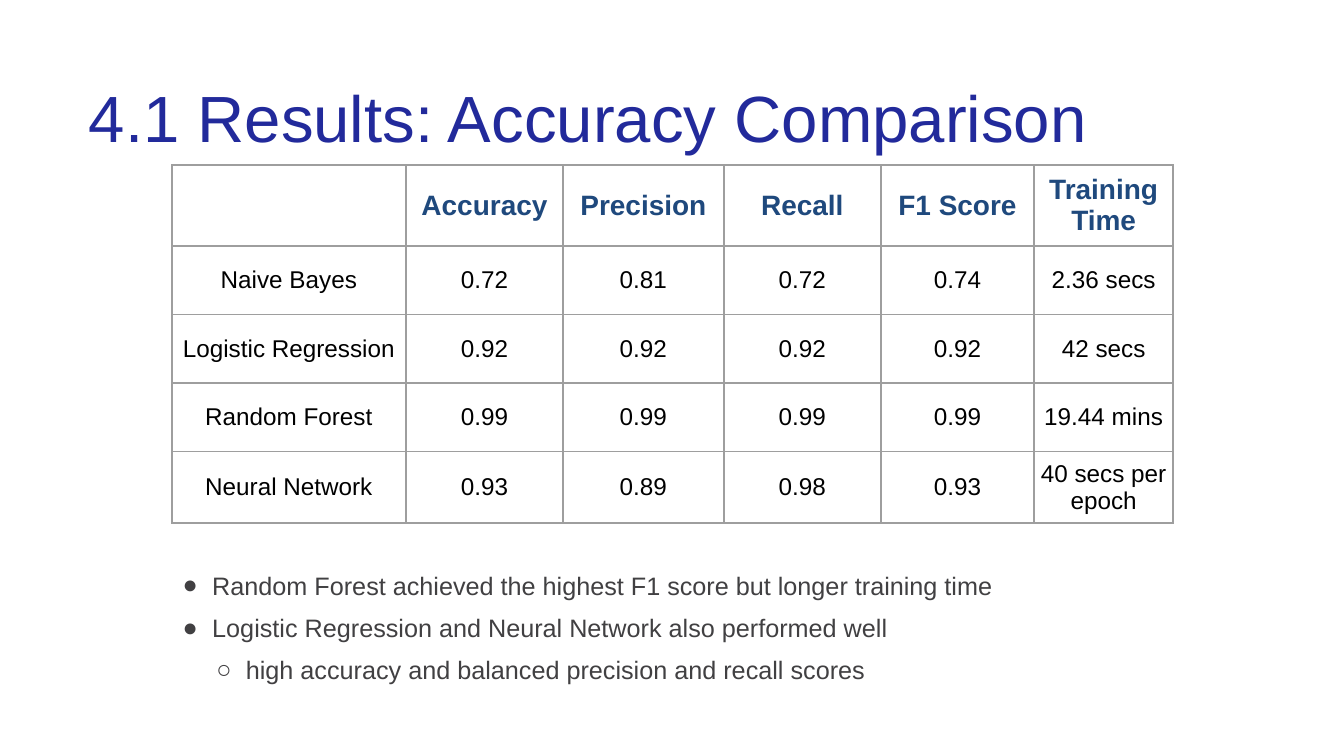
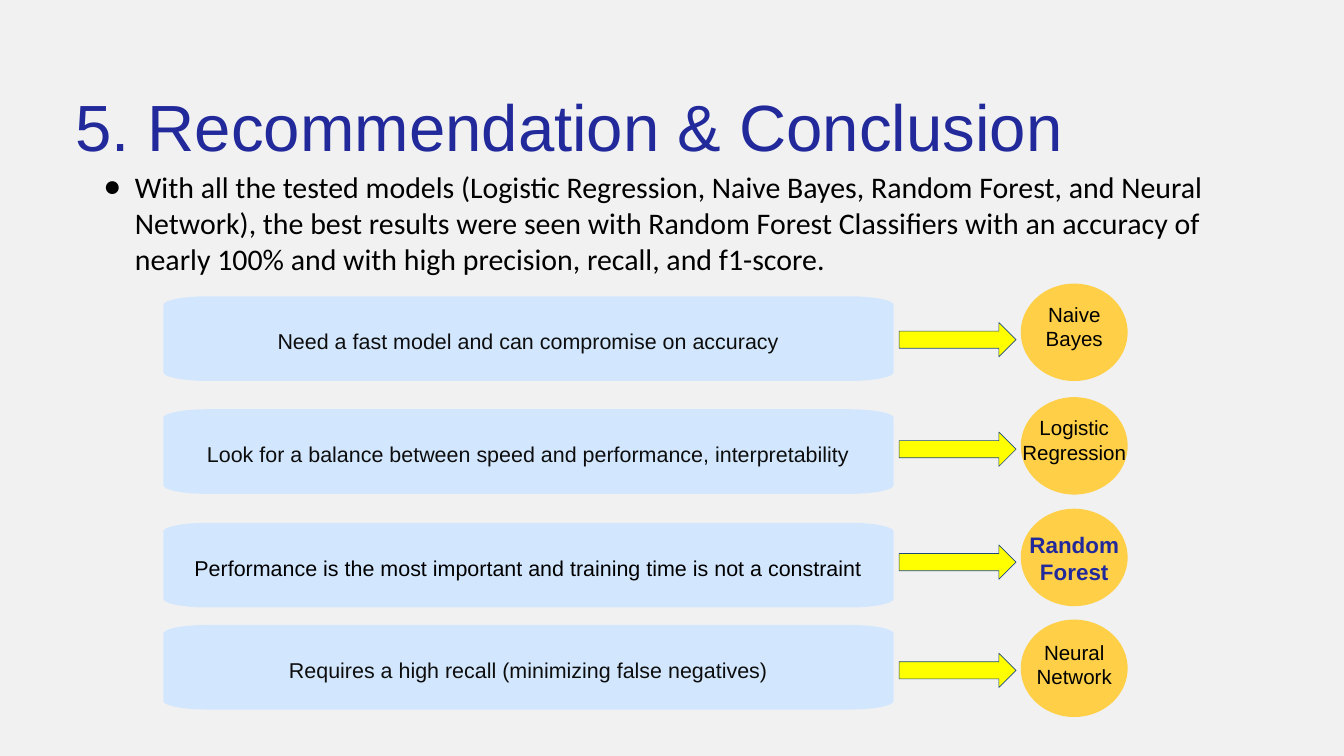
import math
from dataclasses import dataclass

import lxml.etree
import pptx
import pptx.dml.color
import pptx.enum.shapes
import pptx.enum.text
import pptx.oxml.ns
import pptx.util

Inches = pptx.util.Inches
PP_ALIGN = pptx.enum.text.PP_ALIGN
MSO_ANCHOR = pptx.enum.text.MSO_ANCHOR
MSO_SHAPE = pptx.enum.shapes.MSO_SHAPE


@dataclass(frozen=True)
class Theme:
    """Colours, fonts and type sizes shared by the slides."""

    white: str = "FFFFFF"
    grey: str = "F1F1F1"
    black: str = "000000"
    ink: str = "0D0D0D"
    slate: str = "414042"
    title: str = "222A9B"
    navy: str = "1F497D"
    border: str = "9E9E9E"
    bar: str = "D2E7FE"
    circle: str = "FECF47"
    arrow: str = "FFFF00"
    font: str = "Arial"
    body_font: str = "Calibri"
    title_size: int = 70
    body_size: int = 32
    header_size: int = 30
    note_size: int = 27
    cell_size: int = 26
    strong_size: int = 24
    need_size: int = 23
    label_size: int = 22


@dataclass(frozen=True)
class Box:
    """A rectangle in inches."""

    left: float
    top: float
    width: float
    height: float

    def inside(self, left, top, width, height):
        """Return a box placed relative to this one."""
        return Box(self.left + left, self.top + top, width, height)

    def lengths(self):
        """Return the four lengths for python-pptx."""
        return [Inches(value) for value in (self.left, self.top, self.width, self.height)]


THEME = Theme()
HEADERS = ["", "Accuracy", "Precision", "Recall", "F1 Score", "Training Time"]
RESULTS = [
    ["Naive Bayes", "0.72", "0.81", "0.72", "0.74", "2.36 secs"],
    ["Logistic Regression", "0.92", "0.92", "0.92", "0.92", "42 secs"],
    ["Random Forest", "0.99", "0.99", "0.99", "0.99", "19.44 mins"],
    ["Neural Network", "0.93", "0.89", "0.98", "0.93", "40 secs per epoch"],
]
COLUMN_WIDTHS = [3.48, 2.34, 2.39, 2.34, 2.28, 2.07]
ROW_HEIGHTS = [1.2, 1.02, 1.02, 1.02, 1.06]
FINDINGS = [
    (0, "Random Forest achieved the highest F1 score but longer training time"),
    (0, "Logistic Regression and Neural Network also performed well"),
    (1, "high accuracy and balanced precision and recall scores"),
]
CONCLUSION = (
    "With all the tested models (Logistic Regression, Naive Bayes, Random Forest, and Neural "
    "Network), the best results were seen with Random Forest Classifiers with an accuracy of "
    "nearly 100% and with high precision, recall, and f1-score."
)


@dataclass(frozen=True)
class Choice:
    """A need, the model that meets it, and the tops of its parts."""

    need: str
    model: str
    bar_top: float
    arrow_top: float
    circle_top: float
    label_offset: float = 0.17
    need_color: str = THEME.ink
    best: bool = False


CHOICES = [
    Choice("Need a fast model and can compromise on accuracy", "Naive Bayes", 0.19, 0.58, 0),
    Choice("Look for a balance between speed and performance, interpretability",
           "Logistic Regression", 1.87, 2.21, 1.69),
    Choice("Performance is the most important and training time is not a constraint",
           "Random Forest", 3.56, 3.89, 3.35, 0.23, THEME.black, True),
    Choice("Requires a high recall (minimizing false negatives)",
           "Neural Network", 5.08, 5.5, 5, 0.2),
]


def rgb(color):
    """Return a colour object for a hex string."""
    return pptx.dml.color.RGBColor.from_string(color)


def add_child(parent, tag, **attributes):
    """Append a DrawingML element and return it."""
    return lxml.etree.SubElement(parent, pptx.oxml.ns.qn(tag), **attributes)


def style_paragraph(paragraph, size, color, font=THEME.font, bold=False, align=None, spacing=None):
    """Set the font, alignment and line spacing of a paragraph."""
    paragraph.alignment = align
    paragraph.line_spacing = spacing
    paragraph.font.size = pptx.util.Pt(size)
    paragraph.font.name = font
    paragraph.font.bold = bold
    paragraph.font.color.rgb = rgb(color)


def set_bullet(paragraph, character, color, indent, hanging):
    """Give a paragraph a bullet with a hanging indent."""
    properties = paragraph._p.get_or_add_pPr()
    properties.set("marL", str(Inches(indent)))
    properties.set("indent", str(-Inches(hanging)))
    add_child(add_child(properties, "a:buClr"), "a:srgbClr", val=color)
    add_child(properties, "a:buFont", typeface=THEME.font)
    add_child(properties, "a:buChar", char=character)


def set_insets(frame, left, top, right, bottom):
    """Set the margins of a text frame or a table cell."""
    frame.margin_left, frame.margin_top = Inches(left), Inches(top)
    frame.margin_right, frame.margin_bottom = Inches(right), Inches(bottom)


def add_text_frame(slide, box, inset=0.1):
    """Add a wrapping text box and return its frame."""
    frame = slide.shapes.add_textbox(*box.lengths()).text_frame
    frame.word_wrap = True
    set_insets(frame, inset, inset, inset, inset)
    return frame


def paint(shape, fill, line=None):
    """Set the fill and outline of a shape and drop its shadow."""
    shape.shadow.inherit = False
    shape.fill.solid()
    shape.fill.fore_color.rgb = rgb(fill)
    if line:
        shape.line.color.rgb = rgb(line)
        shape.line.width = pptx.util.Pt(0.75)
    else:
        shape.line.fill.background()


def add_titled_slide(presentation, title, box, background):
    """Add a blank slide with a background and a title."""
    slide = presentation.slides.add_slide(presentation.slide_layouts[6])
    slide.background.fill.solid()
    slide.background.fill.fore_color.rgb = rgb(background)
    paragraph = add_text_frame(slide, box, 0).paragraphs[0]
    paragraph.text = title
    style_paragraph(paragraph, THEME.title_size, THEME.title, spacing=1.2)
    return slide


def style_cell(cell, text, header):
    """Fill one table cell with text and draw its borders."""
    properties = cell._tc.get_or_add_tcPr()
    for side in ("a:lnL", "a:lnR", "a:lnT", "a:lnB"):
        line = add_child(properties, side, w=str(pptx.util.Pt(2.25)))
        add_child(add_child(line, "a:solidFill"), "a:srgbClr", val=THEME.border)
    cell.fill.background()
    cell.vertical_anchor = MSO_ANCHOR.MIDDLE
    set_insets(cell, 0.1, 0.1, 0.1, 0.1)
    paragraph = cell.text_frame.paragraphs[0]
    paragraph.text = text
    size, color = (THEME.header_size, THEME.navy) if header else (THEME.cell_size, THEME.black)
    style_paragraph(paragraph, size, color, bold=header, align=PP_ALIGN.CENTER)


def add_results_table(slide, box):
    """Add the table of scores by model."""
    rows = [HEADERS] + RESULTS
    table = slide.shapes.add_table(len(rows), len(HEADERS), *box.lengths()).table
    table.first_row = table.horz_banding = False
    for column, width in zip(table.columns, COLUMN_WIDTHS):
        column.width = Inches(width)
    for row, height, texts in zip(table.rows, ROW_HEIGHTS, rows):
        row.height = Inches(height)
        for cell, text in zip(row.cells, texts):
            style_cell(cell, text, texts is HEADERS)


def add_findings(slide, box):
    """Add the bulleted findings below the table."""
    frame = add_text_frame(slide, box)
    for index, (level, text) in enumerate(FINDINGS):
        paragraph = frame.add_paragraph() if index else frame.paragraphs[0]
        paragraph.text = text
        paragraph.level = level
        paragraph.line_spacing = 1.4
        set_bullet(paragraph, "●○"[level], THEME.slate, 0.5 * (level + 1), 0.44)
        style_paragraph(paragraph, THEME.note_size, THEME.slate, spacing=1.4)


def add_conclusion(slide, box):
    """Add the bulleted conclusion."""
    paragraph = add_text_frame(slide, box).paragraphs[0]
    paragraph.text = CONCLUSION
    set_bullet(paragraph, "●", THEME.black, 0.5, 0.47)
    style_paragraph(paragraph, THEME.body_size, THEME.black, THEME.body_font)


def bar_outline(box, radius_x=0.65, radius_y=0.13, steps=8):
    """Return the points of a rectangle with elliptical corners."""
    left, right = box.left + radius_x, box.left + box.width - radius_x
    top, bottom = box.top + radius_y, box.top + box.height - radius_y
    centres = [(right, top), (right, bottom), (left, bottom), (left, top)]
    points = []
    for corner, (x, y) in enumerate(centres):
        for step in range(steps + 1):
            angle = math.pi / 2 * (corner - 1 + step / steps)
            points.append((Inches(x + radius_x * math.cos(angle)),
                           Inches(y + radius_y * math.sin(angle))))
    return points


def add_need_bar(slide, box, choice):
    """Add the soft-cornered bar that states a need."""
    points = bar_outline(box)
    builder = slide.shapes.build_freeform(*points[0])
    builder.add_line_segments(points[1:], close=True)
    bar = builder.convert_to_shape()
    paint(bar, THEME.bar)
    frame = bar.text_frame
    frame.word_wrap = True
    frame.vertical_anchor = MSO_ANCHOR.MIDDLE
    set_insets(frame, 0.28, 0.28, 0.28, 0.36)
    paragraph = frame.paragraphs[0]
    paragraph.text = choice.need
    style_paragraph(paragraph, THEME.need_size, choice.need_color,
                    align=PP_ALIGN.CENTER, spacing=1.4)


def add_model_circle(slide, box, choice):
    """Add the circle that names the recommended model."""
    paint(slide.shapes.add_shape(MSO_SHAPE.OVAL, *box.lengths()), THEME.circle)
    label_box = box.inside(-0.1, choice.label_offset, box.width + 0.2, 0.94)
    paragraph = add_text_frame(slide, label_box).paragraphs[0]
    paragraph.text = choice.model
    size, color = ((THEME.strong_size, THEME.title) if choice.best
                   else (THEME.label_size, THEME.black))
    style_paragraph(paragraph, size, color, bold=choice.best, align=PP_ALIGN.CENTER)


def add_choices(slide, box):
    """Add a bar, an arrow and a circle for each choice."""
    for choice in CHOICES:
        add_need_bar(slide, box.inside(0, choice.bar_top, 10.87, 1.26), choice)
        arrow_box = box.inside(10.95, choice.arrow_top, 1.74, 0.51)
        arrow = slide.shapes.add_shape(MSO_SHAPE.RIGHT_ARROW, *arrow_box.lengths())
        paint(arrow, THEME.arrow, THEME.navy)
        add_model_circle(slide, box.inside(12.76, choice.circle_top, 1.59, 1.45), choice)


def main():
    """Build both slides and save the presentation."""
    presentation = pptx.Presentation()
    presentation.slide_width, presentation.slide_height = Inches(20), Inches(11.25)

    results = add_titled_slide(presentation, "4.1 Results: Accuracy Comparison",
                               Box(1.32, 0.92, 16.05, 1.18), THEME.white)
    add_results_table(results, Box(2.56, 2.46, 14.89, 5.32))
    add_findings(results, Box(2.56, 8.2, 14.89, 1.93))

    conclusion = add_titled_slide(presentation, "5. Recommendation & Conclusion",
                                  Box(1.12, 1.05, 17.75, 1.18), THEME.grey)
    add_conclusion(conclusion, Box(1.41, 2.41, 17.63, 1.85))
    add_choices(conclusion, Box(2.43, 4.22, 14.35, 6.45))

    presentation.save("out.pptx")


if __name__ == "__main__":
    main()
